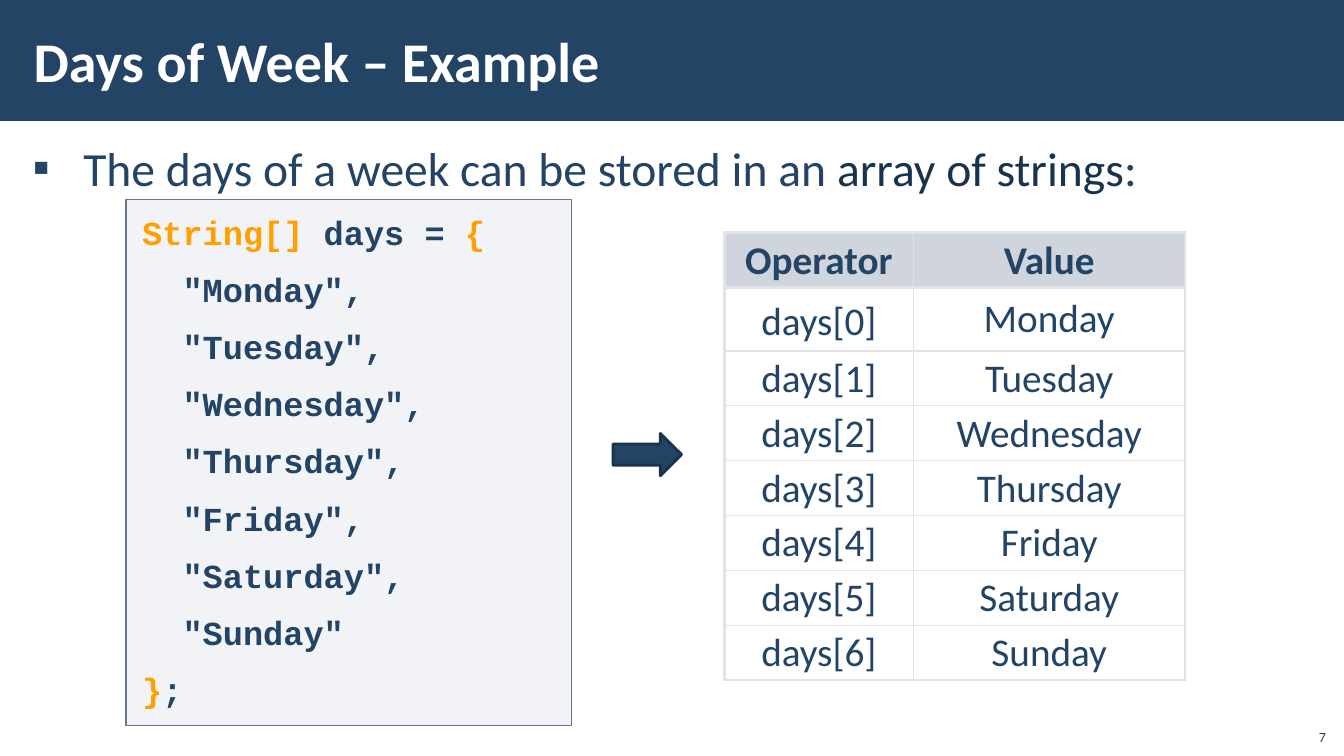
from lxml import etree
from pptx import Presentation
from pptx.dml.color import RGBColor
from pptx.enum.shapes import MSO_SHAPE
from pptx.enum.text import MSO_ANCHOR, MSO_AUTO_SIZE, PP_ALIGN
from pptx.oxml.ns import qn
from pptx.util import Inches, Pt

RECTANGLE, RIGHT_ARROW = MSO_SHAPE.RECTANGLE, MSO_SHAPE.RIGHT_ARROW
TOP, MIDDLE, BOTTOM = MSO_ANCHOR.TOP, MSO_ANCHOR.MIDDLE, MSO_ANCHOR.BOTTOM
LEFT, CENTER, RIGHT = PP_ALIGN.LEFT, PP_ALIGN.CENTER, PP_ALIGN.RIGHT
GROW = MSO_AUTO_SIZE.SHAPE_TO_FIT_TEXT

NAVY = RGBColor(0x23, 0x44, 0x65)
DARK_NAVY = RGBColor(0x1A, 0x33, 0x4C)
WHITE = RGBColor(0xFF, 0xFF, 0xFF)
ORANGE = RGBColor(0xFF, 0xA0, 0x00)
CODE_FILL = RGBColor(0xAD, 0xB4, 0xC3)
CODE_LINE = RGBColor(0x67, 0x74, 0x8E)
HEADER_FILL = RGBColor(0xA3, 0xAB, 0xBC)
BORDER = RGBColor(0xE0, 0xE3, 0xE9)

SLIDE_WIDTH, SLIDE_HEIGHT = Inches(13.33), Inches(7.5)
DAYS = ["Monday", "Tuesday", "Wednesday", "Thursday", "Friday", "Saturday", "Sunday"]


def share(left, top, width, height):
    """Turn percentages of the slide into a box in slide units."""
    return (int(SLIDE_WIDTH * left / 100), int(SLIDE_HEIGHT * top / 100),
            int(SLIDE_WIDTH * width / 100), int(SLIDE_HEIGHT * height / 100))


def set_alpha(element, percent):
    """Make the solid fill found under an element partly transparent."""
    color = element.find(qn("a:solidFill")).find(qn("a:srgbClr"))
    etree.SubElement(color, qn("a:alpha"), val=str(percent * 1000))


def write(paragraph, text, size=24, color=NAVY, font="Calibri", bold=False,
          align=LEFT, spacing=None, gap=0):
    """Add one formatted run and set the format of its paragraph."""
    run = paragraph.add_run()
    run.text = text
    run.font.size, run.font.name, run.font.bold = Pt(size), font, bold
    run.font.color.rgb = color
    paragraph.alignment = align
    paragraph.space_before = paragraph.space_after = Pt(gap)
    if spacing:
        paragraph.line_spacing = spacing


def prepare_frame(frame, anchor=TOP, inset=(0.12, 0.04)):
    """Wrap a text frame, set its insets and return its first paragraph."""
    frame.word_wrap = True
    frame.vertical_anchor = anchor
    frame.margin_left = frame.margin_right = Inches(inset[0])
    frame.margin_top = frame.margin_bottom = Inches(inset[1])
    return frame.paragraphs[0]


def add_text_box(slide, box, **frame_format):
    """Add a text box and return its first paragraph."""
    return prepare_frame(slide.shapes.add_textbox(*box).text_frame, **frame_format)


def add_block(slide, kind, box, fill, line=None, weight=1):
    """Add a filled preset shape without shadow."""
    shape = slide.shapes.add_shape(kind, *box)
    shape.shadow.inherit = False
    shape.fill.solid()
    shape.fill.fore_color.rgb = fill
    if line is None:
        shape.line.fill.background()
    else:
        shape.line.color.rgb = line
        shape.line.width = Pt(weight)
    return shape


def add_title(slide, box, text):
    """Fill the band and centre the title vertically in it."""
    left, top, width, height = box
    add_block(slide, RECTANGLE, box, NAVY)
    inner = (left + int(width * 0.016), top + int(height * 0.09),
             int(width * 0.8), int(height * 0.81))
    write(add_text_box(slide, inner, anchor=MIDDLE), text, size=40, color=WHITE, bold=True)


def add_statement(slide, box):
    """Write the bulleted sentence."""
    paragraph = add_text_box(slide, box)
    for text, color in (("The days of a week can be stored in an ", NAVY),
                        ("array of strings", DARK_NAVY), (":", NAVY)):
        write(paragraph, text, size=34, color=color, spacing=1.05, gap=6)
    properties = paragraph._p.get_or_add_pPr()
    properties.set("marL", str(Inches(0.5)))
    properties.set("indent", str(-Inches(0.5)))
    etree.SubElement(properties, qn("a:buFont"), typeface="Calibri")
    etree.SubElement(properties, qn("a:buChar"), char="\u25aa")


def add_code(slide, box):
    """Show the array declaration, one day a line, in a tinted box."""
    shape = add_block(slide, RECTANGLE, box, CODE_FILL, CODE_LINE)
    set_alpha(shape._element.spPr, 15)
    frame = shape.text_frame
    paragraph = prepare_frame(frame, inset=(0.16, 0.12))
    frame.auto_size = GROW
    entries = [[(f'"{day}",', NAVY)] for day in DAYS[:-1]] + [[(f'"{DAYS[-1]}"', NAVY)]]
    lines = [[("String[]", ORANGE), (" days = ", NAVY), ("{", ORANGE)],
             *entries, [("}", ORANGE), (";", NAVY)]]
    for number, line in enumerate(lines):
        if number:
            paragraph = frame.add_paragraph()
        for text, color in line:
            write(paragraph, text, color=color, font="Courier New", bold=True, gap=6)
        if line in entries:
            paragraph._p.get_or_add_pPr().set("marL", str(Inches(0.4)))


def set_borders(cell, weights):
    """Draw the left, right, top and bottom borders of a cell."""
    properties = cell._tc.get_or_add_tcPr()
    for side, weight in zip("LRTB", weights):
        line = etree.SubElement(properties, qn(f"a:ln{side}"), w=str(Pt(weight)))
        fill = etree.SubElement(line, qn("a:solidFill"))
        etree.SubElement(fill, qn("a:srgbClr"), val=str(BORDER))


def add_days_table(slide, box):
    """List every array element beside its value."""
    rows = [("Operator", "Value")] + [(f"days[{i}]", day) for i, day in enumerate(DAYS)]
    table = slide.shapes.add_table(len(rows), 2, *box).table
    table.first_row = table.horz_banding = False
    width, height = box[2:]
    table.columns[0].width = int(width * 0.41)
    table.columns[1].width = width - table.columns[0].width
    thin, thick = 1, 2.25
    for r, texts in enumerate(rows):
        table.rows[r].height = int(height * (0.14 if r == 1 else 0.86 / (len(rows) - 1)))
        for c, text in enumerate(texts):
            cell = table.cell(r, c)
            set_borders(cell, (thin if c else thick, thick if c else thin,
                               thick if r < 2 else thin, thin if r else thick))
            cell.vertical_anchor = MIDDLE
            cell.margin_left = cell.margin_right = Inches(0.16)
            cell.margin_top = cell.margin_bottom = Inches(0.05)
            if r:
                cell.fill.background()
            else:
                cell.fill.solid()
                cell.fill.fore_color.rgb = HEADER_FILL
                set_alpha(cell._tc.tcPr, 50)
            spacing = Pt(38) if (r, c) == (1, 0) else 0.95
            write(cell.text_frame.paragraphs[0], text, size=28, bold=r == 0,
                  align=CENTER, spacing=spacing)


def build_example(slide):
    """Place all regions of the days of week example."""
    add_title(slide, share(0, 0, 100, 16), "Days of Week \u2013 Example")
    add_statement(slide, share(1.55, 17.47, 96.92, 81.07))
    add_code(slide, share(9.38, 26.4, 33.16, 69.6))
    add_block(slide, RIGHT_ARROW, share(45.61, 57.33, 5.1, 5.6), NAVY, DARK_NAVY, 2)
    add_days_table(slide, share(53.9, 30.8, 34.28, 59.07))
    number = add_text_box(slide, share(96.4, 94.93, 3, 4.27), anchor=BOTTOM, inset=(0.1, 0.05))
    write(number, "7", size=10, align=RIGHT)


presentation = Presentation()
presentation.slide_width, presentation.slide_height = SLIDE_WIDTH, SLIDE_HEIGHT
build_example(presentation.slides.add_slide(presentation.slide_layouts[6]))
presentation.save("out.pptx")
